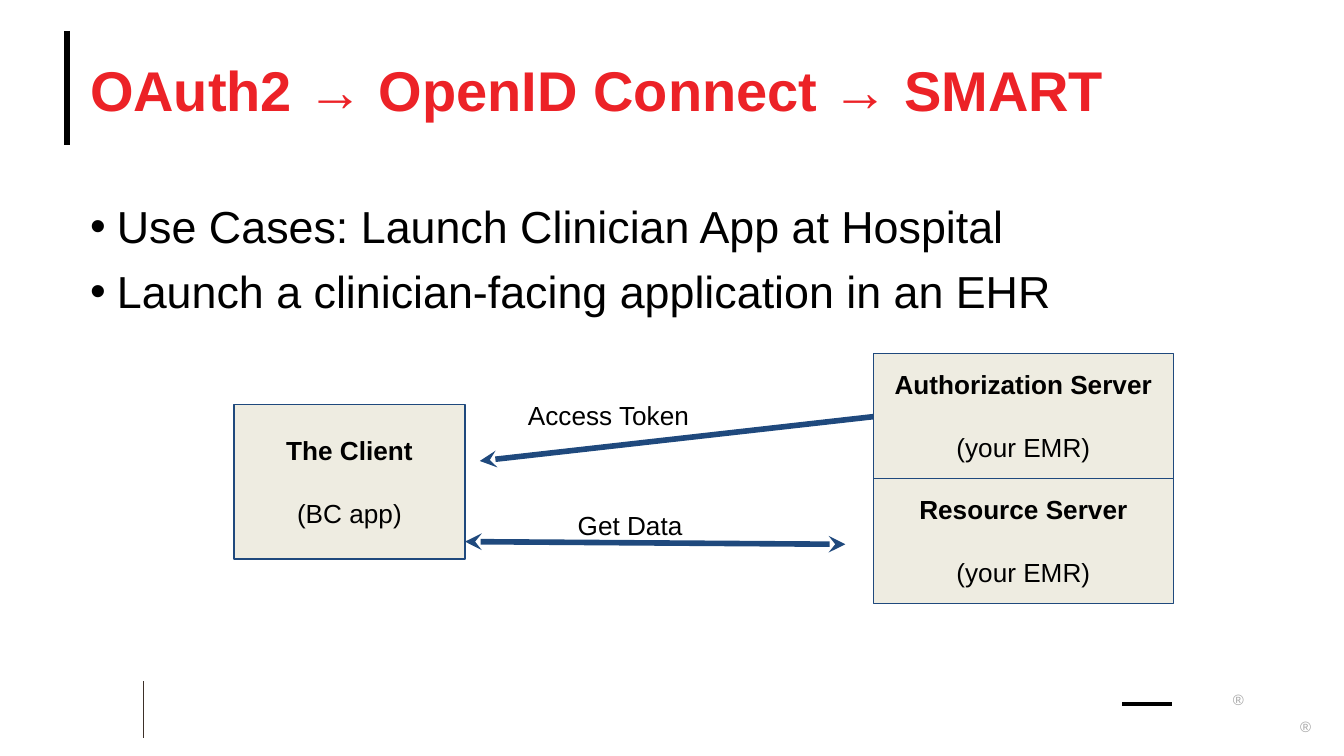
from typing import NamedTuple

from lxml.etree import SubElement as sub
from pptx import Presentation
from pptx.dml.color import RGBColor
from pptx.enum.shapes import MSO_CONNECTOR as Wire, MSO_SHAPE as Form
from pptx.enum.text import MSO_ANCHOR as Anchor, PP_ALIGN as Align
from pptx.oxml.ns import qn
from pptx.util import Inches, Pt

BLACK = RGBColor(0x00, 0x00, 0x00)
BROWN = RGBColor(0x3D, 0x30, 0x29)
GREY = RGBColor(0xA6, 0xA6, 0xA6)
RED = RGBColor(0xEC, 0x22, 0x27)
BLUE = RGBColor(0x1F, 0x49, 0x7D)
CREAM = RGBColor(0xEE, 0xEC, 0xE1)

CELL = 0.1  # inches: the slide is 100 columns by 56.25 rows
COLS, ROWS = 100, 56.25


class Area(NamedTuple):
    col: float
    row: float
    wide: float
    high: float


class Node(NamedTuple):
    name: str
    note: str
    area: Area


class Link(NamedTuple):
    start: tuple[float, float]
    end: tuple[float, float]
    color: RGBColor
    width: float
    ends: tuple[str, ...] = ()


class Label(NamedTuple):
    text: str
    area: Area


LEFT, TOP = 6.7, 2.3
HEAD = Area(LEFT, TOP, 90, 8.6)
BODY = Area(LEFT, 14.8, 90, 33.9)
POINTS = (
    "Use Cases: Launch Clinician App at Hospital",
    "Launch a clinician-facing application in an EHR",
)

SIDE, STEP = 65, 9.3  # left edge and height of the stacked servers
NODES = [Node("The Client", "(BC app)", Area(17.4, 30.1, 17.2, 11.5))] + [
    Node(f"{kind} Server", "(your EMR)", Area(SIDE, 26.3 + i * STEP, 22.3, STEP))
    for i, kind in enumerate(("Authorization", "Resource"))
]
RULES = (
    Link((5, TOP), (5, 10.8), BLACK, 3.25),
    Link((10.7, 50.7), (10.7, 54.9), BROWN, 0.5),
    Link((83.5, 52.4), (87.2, 52.4), BLACK, 2),
)
FLOWS = (
    Link((SIDE, 31), (35.7, 34.3), BLUE, 3, ("tailEnd",)),
    Link((34.6, 40.3), (62.9, 40.5), BLUE, 3, ("headEnd", "tailEnd")),
)
LABELS = (
    Label("Access Token", Area(38.3, 28.7, 16.7, 3.3)),
    Label("Get Data", Area(42, 36.9, 16.7, 3.3)),
)
MARKS = (Area(91.6, 51, 1.1, 0.9), Area(96.7, 53, 0.9, 0.9))


def size(cells: float) -> int:
    return Inches(cells * CELL)


def write(shape, *lines: str, pt=14, color=BLACK, bold=(False,), align=Align.LEFT,
          anchor=Anchor.TOP, pad=(0, 0), gap=0, bullet=False, wrap=True) -> None:
    """Fill a shape with one paragraph a line; bold has one flag for each line
    or a single flag for all, pad is the inset across and down."""
    frame = shape.text_frame
    frame.word_wrap = wrap
    frame.vertical_anchor = anchor
    frame.margin_left = frame.margin_right = size(pad[0])
    frame.margin_top = frame.margin_bottom = size(pad[1])
    for i, line in enumerate(lines):
        para = frame.add_paragraph() if i else frame.paragraphs[0]
        para.alignment = align
        if i:
            para.space_before = Pt(gap)
        if bullet:
            props = para._p.get_or_add_pPr()
            props.set("marL", str(size(2)))
            props.set("indent", str(size(-2)))
            sub(props, qn("a:buFont"), typeface="Arial")
            sub(props, qn("a:buChar"), char="•")
        run = para.add_run()
        run.text = line
        font = run.font
        font.name, font.size = "Arial", Pt(pt)
        font.bold = bold[i % len(bold)]
        font.color.rgb = color


def add_text(slide, area: Area, *lines: str, **style) -> None:
    write(slide.shapes.add_textbox(*map(size, area)), *lines, **style)


def add_node(slide, node: Node) -> None:
    box = slide.shapes.add_shape(Form.RECTANGLE, *map(size, node.area))
    box.shadow.inherit = False
    box.fill.solid()
    box.fill.fore_color.rgb = CREAM
    box.line.color.rgb = BLUE
    box.line.width = Pt(0.75)
    write(box, node.name, node.note, bold=(True, False), align=Align.CENTER,
          anchor=Anchor.MIDDLE, pad=(1, 1), gap=17)


def add_link(slide, link: Link) -> None:
    wire = slide.shapes.add_connector(
        Wire.STRAIGHT, *map(size, link.start + link.end))
    wire.line.color.rgb = link.color
    wire.line.width = Pt(link.width)
    for end in link.ends:
        sub(wire.line._get_or_add_ln(), qn(f"a:{end}"), type="stealth")
    sub(wire._element.spPr, qn("a:effectLst"))


def main() -> None:
    deck = Presentation()
    deck.slide_width, deck.slide_height = size(COLS), size(ROWS)
    slide = deck.slides.add_slide(deck.slide_layouts[6])
    for rule in RULES:
        add_link(slide, rule)
    for mark in MARKS:
        add_text(slide, mark, "®", pt=8, color=GREY, align=Align.CENTER,
                 pad=(0, 0.5), wrap=False)
    add_text(slide, HEAD, "OAuth2 → OpenID Connect → SMART", pt=30, color=RED,
             bold=(True,), anchor=Anchor.MIDDLE)
    add_text(slide, BODY, *POINTS, pt=24, gap=6, bullet=True)
    for node in NODES:
        add_node(slide, node)
    for flow in FLOWS:
        add_link(slide, flow)
    for label in LABELS:
        add_text(slide, label.area, label.text, pad=(1, 1))
    deck.save("out.pptx")


if __name__ == "__main__":
    main()
